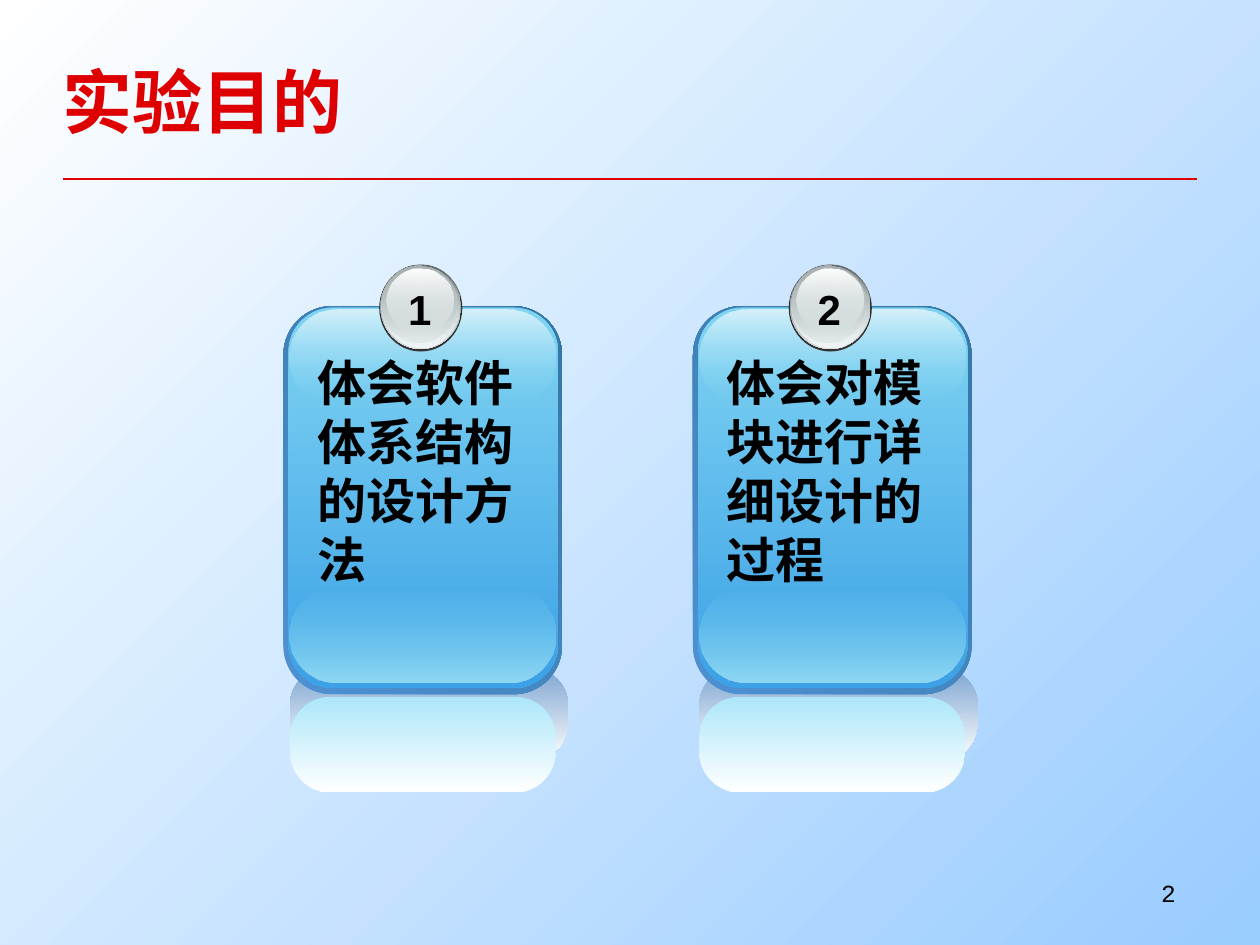
from lxml import etree
from pptx import Presentation
from pptx.dml.color import RGBColor
from pptx.enum.shapes import MSO_CONNECTOR, MSO_SHAPE
from pptx.enum.text import MSO_ANCHOR, MSO_AUTO_SIZE, PP_ALIGN
from pptx.oxml.ns import qn
from pptx.util import Inches, Pt

ROUNDED = MSO_SHAPE.ROUNDED_RECTANGLE
OVAL = MSO_SHAPE.OVAL
STRAIGHT = MSO_CONNECTOR.STRAIGHT
TOP = MSO_ANCHOR.TOP
MIDDLE = MSO_ANCHOR.MIDDLE
LEFT = PP_ALIGN.LEFT
RIGHT = PP_ALIGN.RIGHT
GROW = MSO_AUTO_SIZE.SHAPE_TO_FIT_TEXT
FIXED = MSO_AUTO_SIZE.NONE

BLACK = RGBColor(0x00, 0x00, 0x00)
WHITE = RGBColor(0xFF, 0xFF, 0xFF)
RED = RGBColor(0xDE, 0x00, 0x00)
SKY = RGBColor(0x99, 0xCC, 0xFF)
SHADOW_BLUE = RGBColor(0x7E, 0xA5, 0xD0)
RIM_LIGHT = RGBColor(0x4E, 0x91, 0xD4)
RIM_DARK = RGBColor(0x34, 0x77, 0xA4)
AQUA = RGBColor(0x80, 0xD4, 0xF2)
AZURE = RGBColor(0x3C, 0xA1, 0xE6)
LOW_GLOSS = RGBColor(0x8F, 0xD9, 0xF4)
HIGH_GLOSS = RGBColor(0xD5, 0xF1, 0xFB)
REFLECTION = RGBColor(0xAC, 0xE7, 0xFA)
CHARCOAL = RGBColor(0x33, 0x33, 0x33)
STEEL = RGBColor(0x63, 0x68, 0x69)
SILVER = RGBColor(0xD6, 0xE1, 0xE2)
PEARL = RGBColor(0xF1, 0xF5, 0xF5)
GREY = RGBColor(0xAA, 0xB2, 0xB3)

CHINESE = "Noto Sans CJK SC"
CARD_LEFT = 2.25
CARD_STEP = 3.25
CARDS = ["体会软件体系结构的设计方法", "体会对模块进行详细设计的过程"]

CARD_LAYERS = [
    (0.05, 5.3, 2.21, 0.74, 0.404, (SHADOW_BLUE, WHITE), {}),
    (0, 2.43, 2.21, 3.08, 0.174, (RIM_LIGHT, RIM_DARK), {"angle": 315}),
    (0.04, 2.44, 2.14, 3.02, 0.164, (AQUA, AZURE), {}),
    (0.05, 4.66, 2.11, 0.76, 0.5, (AQUA, LOW_GLOSS), {"opacity": (0, 100)}),
    (0.05, 2.46, 2.11, 0.76, 0.5, (HIGH_GLOSS, AQUA), {"opacity": (100, 0)}),
    (0.05, 5.53, 2.11, 0.76, 0.429, (REFLECTION, WHITE), {}),
]
BADGE_LAYERS = [
    (0.76, 2.1, 0.66, 0.69, (CHARCOAL, CHARCOAL), {}),
    (0.77, 2.1, 0.64, 0.67, (STEEL, SILVER), {}),
    (0.78, 2.11, 0.62, 0.65, (SILVER, PEARL), {"opacity": (0, 100)}),
    (0.78, 2.11, 0.59, 0.61, (GREY, SILVER), {"opacity": (100, 48)}),
    (0.82, 2.13, 0.53, 0.5, (WHITE, SILVER), {"opacity": (100, 38)}),
]


def format_text(span, text, font=CHINESE, size=28, color=BLACK, bold=True):
    span.text = text
    span.font.name = font
    span.font.size = Pt(size)
    span.font.bold = bold
    span.font.color.rgb = color
    properties = span.font._element
    etree.SubElement(properties, qn("a:ea")).set("typeface", font)


def paint_gradient(fill, colors, angle):
    fill.gradient()
    fill.gradient_angle = (360 - angle) % 360
    for stop, color in zip(fill.gradient_stops, colors):
        stop.color.rgb = color


class SlidePainter:
    def __init__(self, deck):
        self.page = deck.slides.add_slide(deck.slide_layouts[6])
        paint_gradient(self.page.background.fill, (WHITE, SKY), 45)

    def rule(self, left, right, top, color, width):
        line = self.page.shapes.add_connector(
            STRAIGHT, Inches(left), Inches(top), Inches(right), Inches(top))
        line.line.color.rgb = color
        line.line.width = Pt(width)
        etree.SubElement(line._element.spPr, qn("a:effectLst"))

    def shape(self, kind, left, top, width, height, colors,
              rounding=None, angle=90, opacity=(100, 100)):
        shape = self.page.shapes.add_shape(
            kind, Inches(left), Inches(top), Inches(width), Inches(height))
        shape.shadow.inherit = False
        shape.line.fill.background()
        if rounding is not None:
            shape.adjustments[0] = rounding
        if colors[0] == colors[1]:
            shape.fill.solid()
            shape.fill.fore_color.rgb = colors[0]
            return
        paint_gradient(shape.fill, colors, angle)
        stops = shape._element.spPr.iter(qn("a:srgbClr"))
        for stop, percent in zip(stops, opacity):
            if percent < 100:
                alpha = etree.SubElement(stop, qn("a:alpha"))
                alpha.set("val", str(percent * 1000))

    def text(self, text, left, top, width, height, align=LEFT, anchor=TOP,
             inset=(0.1, 0.05), wrap=True, autosize=GROW, before=0, **style):
        box = self.page.shapes.add_textbox(
            Inches(left), Inches(top), Inches(width), Inches(height))
        frame = box.text_frame
        frame.word_wrap = wrap
        frame.auto_size = autosize
        frame.vertical_anchor = anchor
        frame.margin_left = frame.margin_right = Inches(inset[0])
        frame.margin_top = frame.margin_bottom = Inches(inset[1])
        para = frame.paragraphs[0]
        para.alignment = align
        para.space_before = Pt(before)
        format_text(para.add_run(), text, **style)

    def card(self, left, number, text):
        for offset, top, width, height, rounding, colors, look in CARD_LAYERS:
            self.shape(ROUNDED, left + offset, top, width, height, colors,
                       rounding=rounding, **look)
        for offset, top, width, height, colors, look in BADGE_LAYERS:
            self.shape(OVAL, left + offset, top, width, height, colors, **look)
        self.text(str(number), left + 0.89, 2.2, 0.38, 0.5, wrap=False,
                  font="Arial", size=24)
        self.text(text, left + 0.17, 2.75, 2.1, 1.97, before=6)


def main():
    deck = Presentation()
    deck.slide_width = Inches(10)
    deck.slide_height = Inches(7.5)
    painter = SlidePainter(deck)
    painter.rule(0.5, 9.5, 1.42, RED, 1.5)
    painter.text("2", 7.83, 6.92, 1.6, 0.37, align=RIGHT,
                 font="Courier New", size=14, bold=False)
    painter.text("实验目的", 0.5, 0.17, 9, 1.25, anchor=MIDDLE, inset=(0, 0),
                 autosize=FIXED, size=40, color=RED)
    for index, text in enumerate(CARDS):
        painter.card(CARD_LEFT + index * CARD_STEP, index + 1, text)
    deck.save("out.pptx")


if __name__ == "__main__":
    main()
